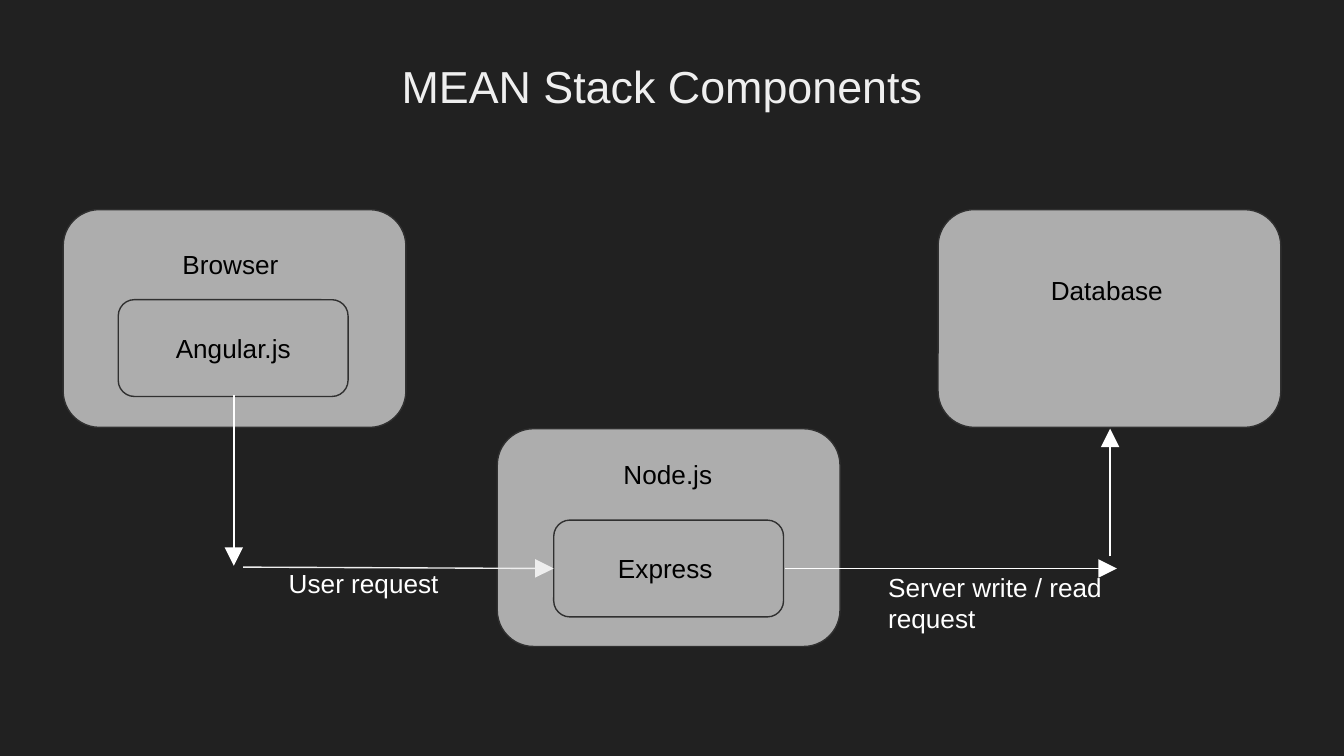
"""Build a slide that shows how the MEAN stack components talk to each other."""
from dataclasses import dataclass

from lxml.etree import SubElement
from pptx import Presentation
from pptx.dml.color import RGBColor
from pptx.enum.shapes import MSO_CONNECTOR, MSO_SHAPE
from pptx.enum.text import MSO_ANCHOR, PP_ALIGN
from pptx.oxml.ns import qn
from pptx.shapes.base import BaseShape
from pptx.slide import Slide
from pptx.util import Inches, Pt

BACKGROUND = RGBColor(0x21, 0x21, 0x21)
BOX_FILL = RGBColor(0xAD, 0xAD, 0xAD)
BOX_LINE = RGBColor(0x30, 0x30, 0x30)
TITLE_COLOR = RGBColor(0xEF, 0xEF, 0xEF)
SOFT_WHITE = RGBColor(0xEE, 0xEE, 0xEE)
WHITE = RGBColor(0xFF, 0xFF, 0xFF)
BLACK = RGBColor(0x00, 0x00, 0x00)

FONT = "Arial"
LINE_WIDTH = Pt(0.75)
SLIDE_WIDTH = Inches(10)
SLIDE_HEIGHT = SLIDE_WIDTH * 9 // 16
OUTER_SIZE = (2.55, 1.62)
INNER_SIZE = (1.71, 0.72)


@dataclass(frozen=True)
class Box:
    left: float
    top: float
    size: tuple[float, float]


@dataclass(frozen=True)
class Label:
    text: str
    left: float
    top: float
    width: float
    height: float = 0.43
    color: RGBColor = BLACK


@dataclass(frozen=True)
class Arrow:
    start: tuple[float, float]
    end: tuple[float, float]
    color: RGBColor = WHITE


BOXES = [
    Box(3.7, 3.19, OUTER_SIZE),
    Box(4.12, 3.87, INNER_SIZE),
    Box(0.47, 1.56, OUTER_SIZE),
    Box(0.88, 2.23, INNER_SIZE),
    Box(6.98, 1.56, OUTER_SIZE),
]
ARROWS = [
    Arrow((1.81, 4.22), (4.12, 4.23), SOFT_WHITE),
    Arrow((1.74, 2.94), (1.74, 4.21)),
    Arrow((5.84, 4.23), (8.31, 4.23)),
    Arrow((8.26, 4.14), (8.26, 3.19)),
]
LABELS = [
    Label("Node.js", 4.54, 3.31, 0.88),
    Label("Express", 4.5, 4.01, 0.96, 0.31),
    Label("Browser", 1.26, 1.75, 0.96),
    Label("Angular.js", 1.21, 2.37, 1.07),
    Label("Database", 7.72, 1.94, 1.07),
    Label("User request", 2.05, 4.12, 1.45, color=WHITE),
    Label("Server write / read request", 6.51, 4.15, 1.8, 0.37, WHITE),
]


def write_text(shape: BaseShape, text: str, size: int, color: RGBColor,
               alignment: PP_ALIGN = PP_ALIGN.LEFT) -> None:
    frame = shape.text_frame
    frame.word_wrap = True
    frame.vertical_anchor = MSO_ANCHOR.TOP
    frame.margin_left = frame.margin_right = Inches(0.1)
    frame.margin_top = frame.margin_bottom = Inches(0.1)
    para = frame.paragraphs[0]
    para.alignment = alignment
    span = para.add_run()
    span.text = text
    span.font.name = FONT
    span.font.size = Pt(size)
    span.font.color.rgb = color


def draw_title(page: Slide, text: str) -> None:
    title = page.shapes.title
    title.left, title.top = Inches(0.31), Inches(0.34)
    title.width, title.height = Inches(9.23), Inches(0.91)
    write_text(title, text, 24, TITLE_COLOR, PP_ALIGN.CENTER)


def draw_box(page: Slide, box: Box) -> None:
    shape = page.shapes.add_shape(
        MSO_SHAPE.ROUNDED_RECTANGLE,
        Inches(box.left), Inches(box.top), *map(Inches, box.size))
    shape.shadow.inherit = False
    shape.fill.solid()
    shape.fill.fore_color.rgb = BOX_FILL
    shape.line.color.rgb = BOX_LINE
    shape.line.width = LINE_WIDTH


def draw_label(page: Slide, label: Label) -> None:
    text_box = page.shapes.add_textbox(
        Inches(label.left), Inches(label.top),
        Inches(label.width), Inches(label.height))
    write_text(text_box, label.text, 14, label.color)


def draw_arrow(page: Slide, arrow: Arrow) -> None:
    connector = page.shapes.add_connector(
        MSO_CONNECTOR.STRAIGHT,
        *map(Inches, arrow.start), *map(Inches, arrow.end))
    connector.line.color.rgb = arrow.color
    connector.line.width = LINE_WIDTH
    properties = connector.element.spPr
    SubElement(properties.find(qn("a:ln")), qn("a:tailEnd"),
               type="triangle", w="lg", len="lg")
    SubElement(properties, qn("a:effectLst"))


def main() -> None:
    deck = Presentation()
    deck.slide_width, deck.slide_height = SLIDE_WIDTH, SLIDE_HEIGHT
    page = deck.slides.add_slide(deck.slide_layouts.get_by_name("Title Only"))
    page.background.fill.solid()
    page.background.fill.fore_color.rgb = BACKGROUND
    draw_title(page, "MEAN Stack Components")
    for box in BOXES:
        draw_box(page, box)
    for arrow in ARROWS:
        draw_arrow(page, arrow)
    for label in LABELS:
        draw_label(page, label)
    deck.save("out.pptx")


if __name__ == "__main__":
    main()
